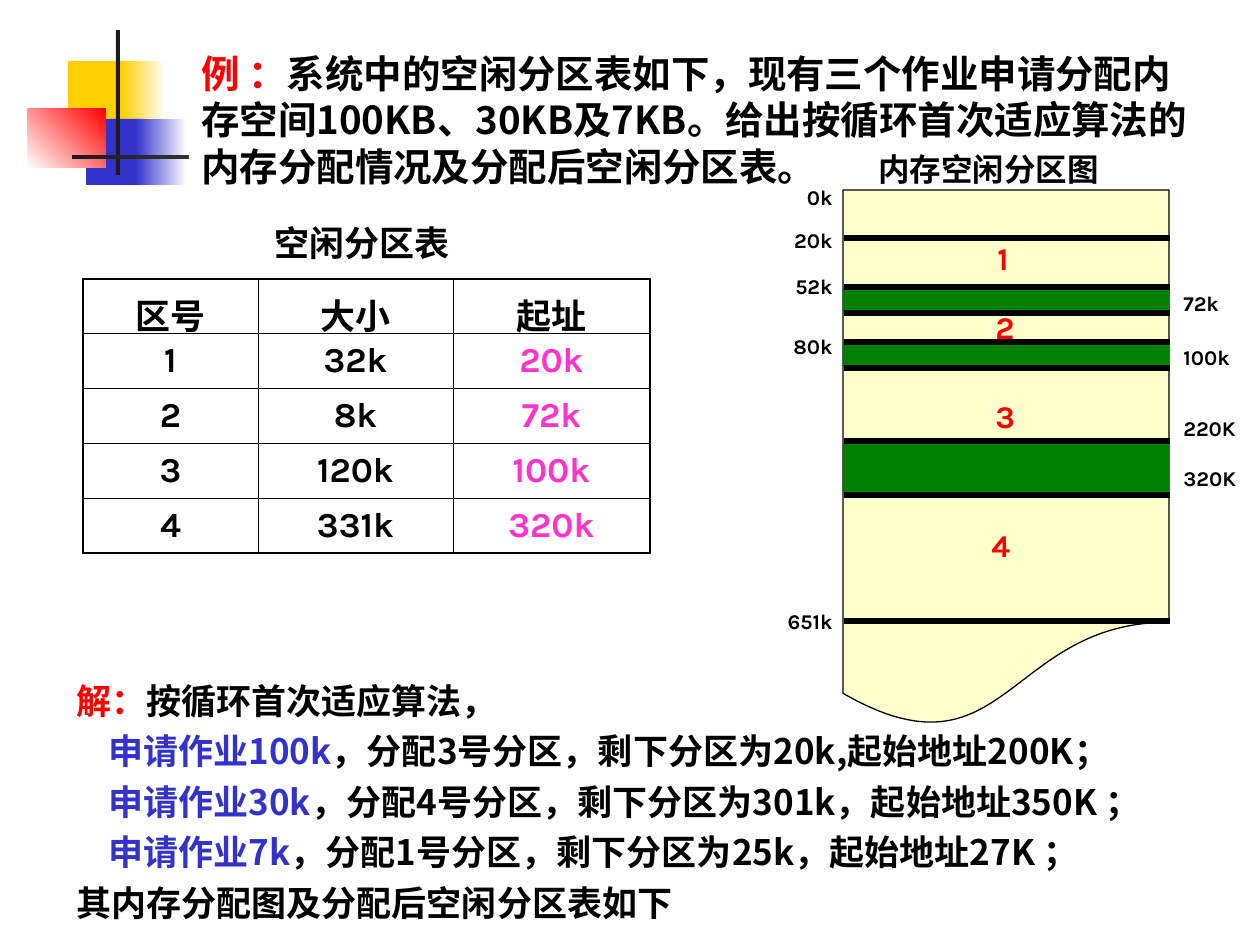
from dataclasses import dataclass

from lxml.etree import SubElement
from pptx import Presentation
from pptx.dml.color import RGBColor
from pptx.enum.shapes import MSO_CONNECTOR, MSO_SHAPE
from pptx.enum.text import MSO_ANCHOR, PP_ALIGN
from pptx.oxml.ns import qn
from pptx.util import Emu, Pt

PX = 914400 / 126


@dataclass(frozen=True)
class Theme:
    black: str = "000000"
    white: str = "FFFFFF"
    red: str = "FF0000"
    blue: str = "3333CC"
    yellow: str = "FFCF01"
    charcoal: str = "1C1C1C"
    pink: str = "FF33CC"
    cream: str = "FFFFCC"
    green: str = "008000"
    latin: str = "Karla"
    chinese: str = "Noto Sans CJK SC"
    serif: str = "Times New Roman"
    title: int = 22
    body: int = 20
    caption: int = 18
    label: int = 12


THEME = Theme()


def px(value):
    return Emu(round(value * PX))


def color(code):
    return RGBColor.from_string(code)


def add_span(para, text, size, code=THEME.black, font=THEME.latin):
    span = para.add_run()
    span.text = text
    span.font.size = Pt(size)
    span.font.bold = True
    span.font.name = font
    span.font.color.rgb = color(code)
    SubElement(span.font._element, qn("a:ea")).set("typeface", THEME.chinese)


def add_box(page, left, top, width, height, anchor=MSO_ANCHOR.MIDDLE, wrap=True):
    box = page.shapes.add_textbox(px(left), px(top), px(width), px(height))
    box.text_frame.word_wrap = wrap
    box.text_frame.vertical_anchor = anchor
    return box


def add_text(page, area, text, size, code=THEME.black, font=THEME.latin,
             align=PP_ALIGN.LEFT, wrap=True):
    para = add_box(page, *area, wrap=wrap).text_frame.paragraphs[0]
    para.alignment = align
    add_span(para, text, size, code, font)


def add_block(page, area, fill, kind=MSO_SHAPE.RECTANGLE, outline=None):
    block = page.shapes.add_shape(kind, *map(px, area))
    block.shadow.inherit = False
    block.fill.solid()
    block.fill.fore_color.rgb = color(fill)
    if outline:
        block.line.color.rgb = color(outline)
        block.line.width = Pt(0.75)
    else:
        block.line.fill.background()
    return block


def add_fade(page, area, start, end, angle=0):
    block = add_block(page, area, start)
    block.fill.gradient()
    block.fill.gradient_angle = angle
    for stop, code in zip(block.fill.gradient_stops, (start, end)):
        stop.color.rgb = color(code)


def add_rule(page, left, right, y):
    rule = page.shapes.add_connector(
        MSO_CONNECTOR.STRAIGHT, px(left), px(y), px(right), px(y))
    rule.line.color.rgb = color(THEME.black)
    rule.line.width = Pt(3)
    SubElement(rule._element.spPr, qn("a:effectLst"))


def set_border(cell, side, width):
    edge = SubElement(cell._tc.get_or_add_tcPr(), qn(f"a:ln{side}"), w=str(Pt(width)))
    fill = SubElement(edge, qn("a:solidFill"))
    SubElement(fill, qn("a:srgbClr"), val=THEME.black)


def add_ornament(page):
    add_block(page, (68, 61, 58, 66), THEME.yellow)
    add_fade(page, (121, 61, 45, 66), THEME.yellow, THEME.white)
    add_block(page, (86, 119, 58, 66), THEME.blue)
    add_fade(page, (136, 119, 51, 66), THEME.blue, THEME.white)
    add_fade(page, (28, 109, 78, 59), THEME.white, THEME.red, 45)
    add_block(page, (116, 30, 4, 145), THEME.charcoal)
    add_fade(page, (72, 155, 1134, 4), THEME.charcoal, THEME.white)


def add_question(page):
    block = add_block(page, (189, 44, 1018, 151), THEME.white)
    frame = block.text_frame
    frame.word_wrap = True
    frame.vertical_anchor = MSO_ANCHOR.TOP
    para = frame.paragraphs[0]
    para.alignment = PP_ALIGN.LEFT
    add_span(para, "例 ：", THEME.title, THEME.red, THEME.chinese)
    add_span(para, "系统中的空闲分区表如下，现有三个作业申请分配内存空间100KB、30KB及7KB。"
             "给出按循环首次适应算法的内存分配情况及分配后空闲分区表。",
             THEME.title, font=THEME.chinese)


def add_free_table(page):
    rows = [("区号", "大小", "起址"), ("1", "32k", "20k"), ("2", "8k", "72k"),
            ("3", "120k", "100k"), ("4", "331k", "320k")]
    widths = (175, 195, 197)
    add_text(page, (168, 214, 388, 56), "空闲分区表", THEME.body, align=PP_ALIGN.CENTER)
    table = page.shapes.add_table(len(rows), len(widths), px(83), px(279),
                                  px(sum(widths)), px(274)).table
    table.first_row = table.horz_banding = False
    for column, width in zip(table.columns, widths):
        column.width = px(width)
    last_row, last_column = len(rows) - 1, len(widths) - 1
    for r, values in enumerate(rows):
        for c, value in enumerate(values):
            cell = table.cell(r, c)
            cell.vertical_anchor = MSO_ANCHOR.MIDDLE
            cell.margin_top = px(0 if r else 10)
            cell.margin_bottom = 0
            outer = {"L": c == 0, "R": c == last_column, "T": r == 0, "B": r == last_row}
            for side, is_outer in outer.items():
                set_border(cell, side, 1.08 if is_outer else 0.45)
            cell.fill.background()
            para = cell.text_frame.paragraphs[0]
            para.alignment = PP_ALIGN.CENTER
            pink = r > 0 and c == last_column
            add_span(para, value, THEME.body, THEME.pink if pink else THEME.black)


def add_memory_map(page):
    left, right, top = 843, 1169, 190
    add_block(page, (left, top, right - left, 539), THEME.cream,
              MSO_SHAPE.FLOWCHART_DOCUMENT, THEME.black)
    add_text(page, (866, 144, 280, 50), "内存空闲分区图", THEME.caption, font=THEME.serif)

    # Occupied areas and the boundaries between areas
    used = [(287, 313), (342, 368), (441, 495)]
    for start, end in used:
        add_block(page, (left, start, right - left, end - start), THEME.green)
    for y in (238, *(edge for pair in used for edge in pair), 621):
        add_rule(page, left + 1, right + 1, y)

    # Addresses beside the map
    for text, y in (("0k", 197), ("20k", 240), ("52k", 286), ("80k", 346), ("651k", 621)):
        add_text(page, (709, y - 20, 136, 40), text, THEME.label, align=PP_ALIGN.RIGHT)
    for text, y in (("72k", 303), ("100k", 357), ("220K", 428), ("320K", 478)):
        add_text(page, (1171, y - 20, 88, 40), text, THEME.label, wrap=False)

    # Numbers of the free areas
    for text, x, y in (("1", 985, 258), ("2", 983, 327), ("3", 983, 416), ("4", 979, 545)):
        add_text(page, (x, y - 25, 43, 50), text, THEME.caption, THEME.red, wrap=False)


def add_solution(page):
    lines = [
        (0, "解：", THEME.red, "按循环首次适应算法，"),
        (32, "申请作业100k", THEME.blue, "，分配3号分区，剩下分区为20k,起始地址200K；"),
        (32, "申请作业30k", THEME.blue, "，分配4号分区，剩下分区为301k，起始地址350K ；"),
        (32, "申请作业7k", THEME.blue, "，分配1号分区，剩下分区为25k，起始地址27K ；"),
        (0, "", THEME.black, "其内存分配图及分配后空闲分区表如下"),
    ]
    frame = add_box(page, 64, 665, 1196, 265, MSO_ANCHOR.TOP).text_frame
    for number, (indent, lead, code, rest) in enumerate(lines):
        para = frame.add_paragraph() if number else frame.paragraphs[0]
        para.line_spacing = 1.2
        para._p.get_or_add_pPr().set("marL", str(px(indent)))
        if lead:
            add_span(para, lead, THEME.body, code, THEME.chinese)
        add_span(para, rest, THEME.body, font=THEME.chinese)


def main():
    deck = Presentation()
    deck.slide_width, deck.slide_height = px(1260), px(945)
    page = deck.slides.add_slide(deck.slide_layouts[6])
    add_ornament(page)
    add_free_table(page)
    add_solution(page)
    add_question(page)
    add_memory_map(page)
    deck.save("out.pptx")


if __name__ == "__main__":
    main()
